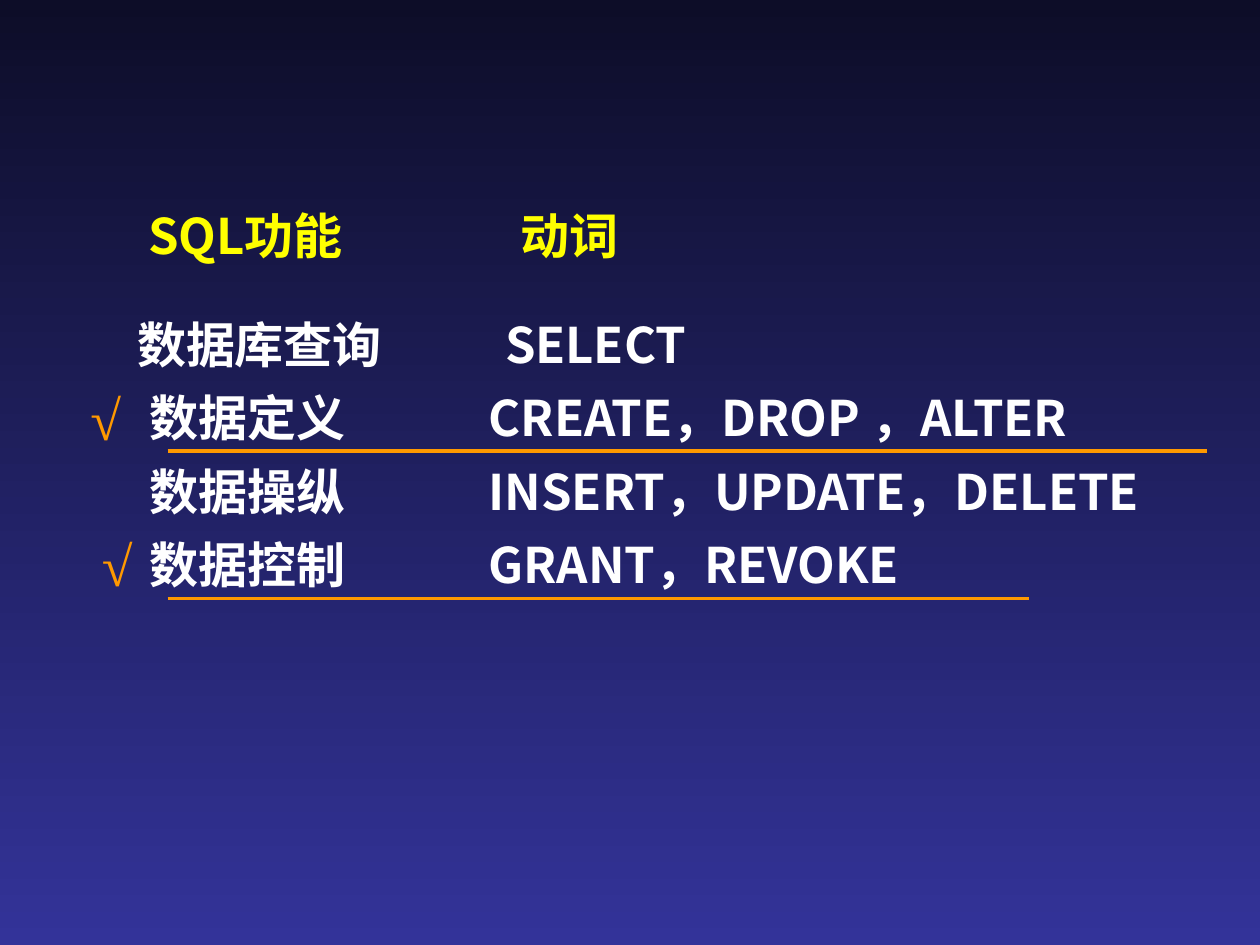
from dataclasses import dataclass

from lxml.etree import SubElement
from pptx import Presentation
from pptx.dml.color import RGBColor
from pptx.enum.shapes import MSO_CONNECTOR
from pptx.oxml.ns import qn
from pptx.util import Inches, Pt


@dataclass(frozen=True)
class Theme:
    top: RGBColor = RGBColor(0x0D, 0x0D, 0x28)
    bottom: RGBColor = RGBColor(0x33, 0x33, 0x99)
    heading: RGBColor = RGBColor(0xFF, 0xFF, 0x00)
    body: RGBColor = RGBColor(0xFF, 0xFF, 0xFF)
    accent: RGBColor = RGBColor(0xFF, 0x99, 0x00)
    text_font: str = "Noto Sans CJK SC"
    mark_font: str = "Times New Roman"
    text_size: Pt = Pt(28)
    mark_size: Pt = Pt(32)
    rule_width: Pt = Pt(2.25)


THEME = Theme()

# Function, verbs, and the tab stops where each begins
FIRST_ROW_TABS = (0.25, 3.17)
ROW_TABS = (0.35, 3.04)
ROWS = [
    ("数据库查询", "SELECT", FIRST_ROW_TABS),
    ("数据定义", "CREATE，DROP ，ALTER", ROW_TABS),
    ("数据操纵", "INSERT，UPDATE，DELETE", ROW_TABS),
    ("数据控制", "GRANT，REVOKE", ROW_TABS),
]


def paint_background(slide):
    fill = slide.background.fill
    fill.gradient()
    fill.gradient_angle = 270
    for stop, color in zip(fill.gradient_stops, (THEME.top, THEME.bottom)):
        stop.color.rgb = color


def add_text_frame(slide, left, top, width, height, wrap=True):
    box = slide.shapes.add_textbox(Inches(left), Inches(top), Inches(width), Inches(height))
    box.text_frame.word_wrap = wrap
    return box.text_frame


def add_run(paragraph, text, color, font_name, size):
    run = paragraph.add_run()
    run.text = text
    font = run.font
    font.name, font.size, font.bold = font_name, size, True
    font.color.rgb = color
    SubElement(font._element, qn("a:ea"), typeface=font_name)


def set_tabs(paragraph, positions):
    tab_list = SubElement(paragraph._p.get_or_add_pPr(), qn("a:tabLst"))
    for position in positions:
        SubElement(tab_list, qn("a:tab"), pos=str(Inches(position)), algn="l")


def add_heading(slide, left, top, width, height):
    paragraph = add_text_frame(slide, left, top, width, height).paragraphs[0]
    set_tabs(paragraph, [2.95])
    add_run(paragraph, "SQL功能\t动词", THEME.heading, THEME.text_font, THEME.text_size)


def add_function_list(slide, left, top, width, height):
    frame = add_text_frame(slide, left, top, width, height)
    for index, (function, verbs, tabs) in enumerate(ROWS):
        paragraph = frame.add_paragraph() if index else frame.paragraphs[0]
        set_tabs(paragraph, tabs)
        paragraph.line_spacing = 1.25
        add_run(paragraph, f"\t{function}\t{verbs}", THEME.body, THEME.text_font, THEME.text_size)


def add_check_mark(slide, left, top, width, height):
    frame = add_text_frame(slide, left, top, width, height, wrap=False)
    add_run(frame.paragraphs[0], "√", THEME.accent, THEME.mark_font, THEME.mark_size)


def add_underline(slide, left, right, y):
    line = slide.shapes.add_connector(
        MSO_CONNECTOR.STRAIGHT, Inches(left), Inches(y), Inches(right), Inches(y))
    line.line.color.rgb = THEME.accent
    line.line.width = THEME.rule_width
    SubElement(line._element.spPr, qn("a:effectLst"))


def main():
    presentation = Presentation()
    presentation.slide_width, presentation.slide_height = Inches(10), Inches(7.5)
    slide = presentation.slides.add_slide(presentation.slide_layouts[6])
    paint_background(slide)
    add_function_list(slide, 0.74, 2.33, 8.84, 2.44)
    add_heading(slide, 1.08, 1.58, 7.67, 0.57)
    for left, top in ((0.62, 3), (0.71, 4.16)):
        add_check_mark(slide, left, top, 0.44, 0.64)
    for right, y in ((8.17, 4.75), (9.58, 3.58)):
        add_underline(slide, 1.33, right, y)
    presentation.save("out.pptx")


if __name__ == "__main__":
    main()
